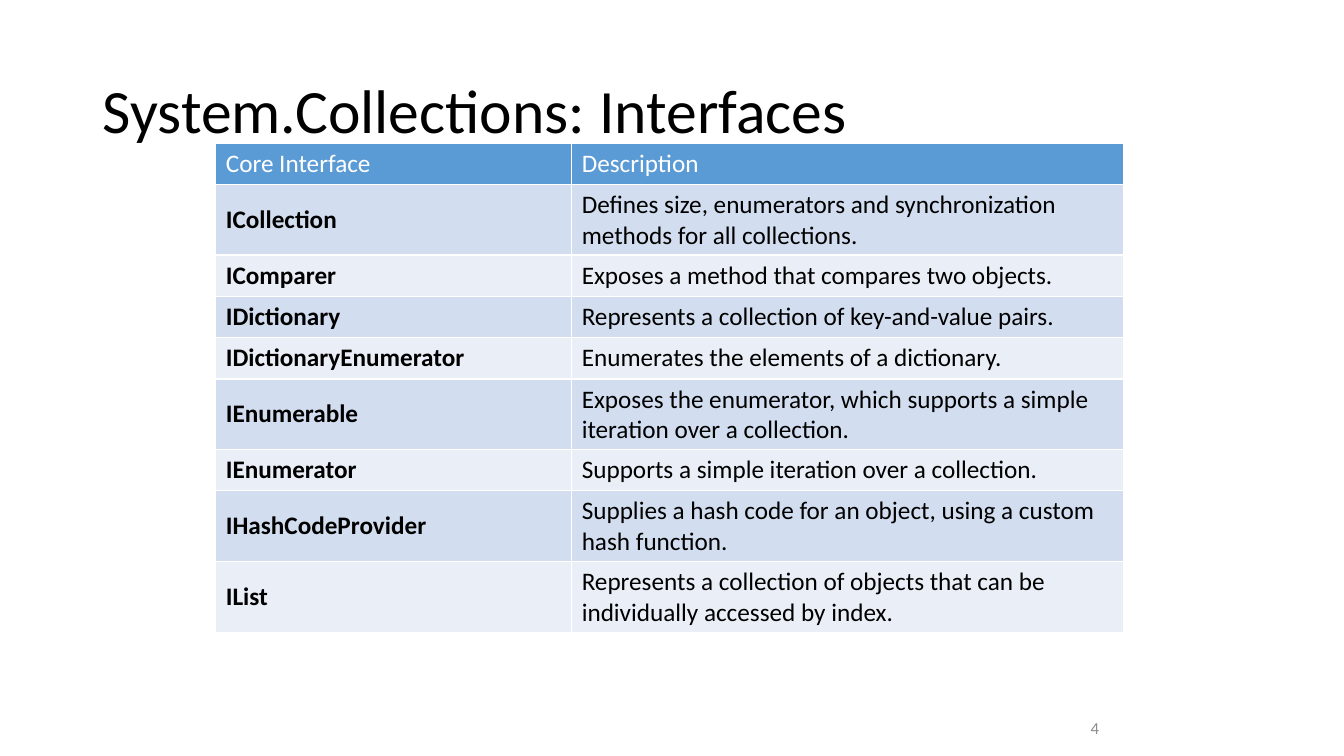
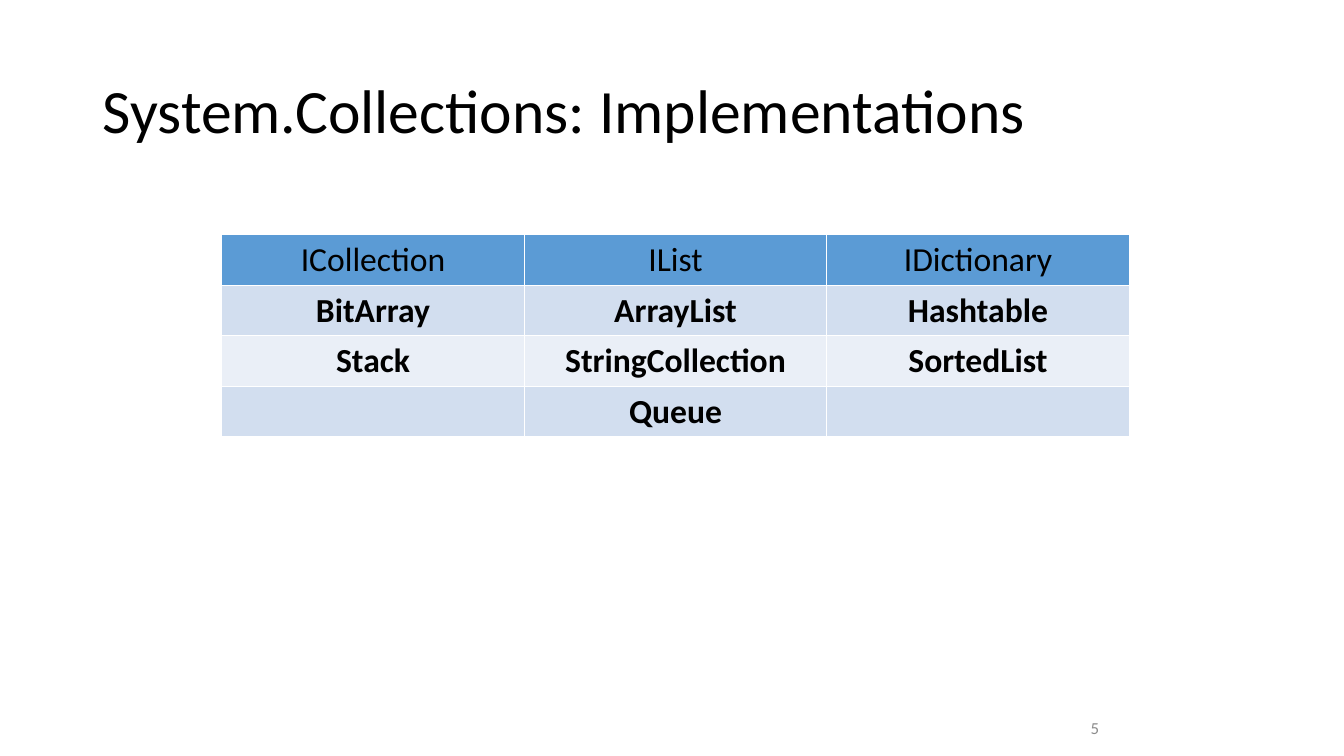
from pptx import Presentation
from pptx.dml.color import RGBColor
from pptx.enum.text import MSO_ANCHOR, MSO_AUTO_SIZE, PP_ALIGN
from pptx.util import Inches, Pt

LEFT, CENTER, RIGHT = PP_ALIGN.LEFT, PP_ALIGN.CENTER, PP_ALIGN.RIGHT
TOP, MIDDLE = MSO_ANCHOR.TOP, MSO_ANCHOR.MIDDLE
FONT = "Calibri"
TITLE_ONLY = 5
COLORS = {
    "text": "000000",
    "white": "FFFFFF",
    "header": "5B9BD5",
    "band_dark": "D2DEEF",
    "band_light": "EAEFF7",
    "number": "8C8C8C",
}

INTERFACES = [
    ("Core Interface", "Description"),
    ("ICollection", "Defines size, enumerators and synchronization methods for all collections."),
    ("IComparer", "Exposes a method that compares two objects."),
    ("IDictionary", "Represents a collection of key-and-value pairs."),
    ("IDictionaryEnumerator", "Enumerates the elements of a dictionary."),
    ("IEnumerable", "Exposes the enumerator, which supports a simple iteration over a collection."),
    ("IEnumerator", "Supports a simple iteration over a collection."),
    ("IHashCodeProvider", "Supplies a hash code for an object, using a custom hash function."),
    ("IList", "Represents a collection of objects that can be individually accessed by index."),
]
IMPLEMENTATIONS = [
    ("ICollection", "IList", "IDictionary"),
    ("BitArray", "ArrayList", "Hashtable"),
    ("Stack", "StringCollection", "SortedList"),
    ("", "Queue", ""),
]


def rgb(name):
    return RGBColor.from_string(COLORS[name])


class Deck:
    def __init__(self):
        self.prs = Presentation()
        self.prs.slide_width, self.prs.slide_height = Inches(13.33), Inches(7.5)
        self.s = None

    def slide(self, title, number):
        self.s = self.prs.slides.add_slide(self.prs.slide_layouts[TITLE_ONLY])
        self.title(title)
        self.number(number)

    def set_text(self, tf, text, size, color="text", align=LEFT, bold=False):
        p = tf.paragraphs[0]
        p.text, p.alignment = text, align
        p.font.name, p.font.size, p.font.bold = FONT, Pt(size), bold
        p.font.color.rgb = rgb(color)
        return p

    def title(self, text):
        sp = self.s.shapes.title
        sp.left, sp.top = Inches(0.92), Inches(0.4)
        sp.width, sp.height = Inches(11.5), Inches(1.45)
        tf = sp.text_frame
        tf.auto_size, tf.vertical_anchor = MSO_AUTO_SIZE.NONE, MIDDLE
        self.set_text(tf, text, 44).line_spacing = 0.9

    def number(self, number):
        sp = self.s.shapes.add_textbox(Inches(8.67), Inches(7.02), Inches(2.33), Inches(0.4))
        tf = sp.text_frame
        tf.word_wrap, tf.vertical_anchor = True, MIDDLE
        self.set_text(tf, str(number), 12, "number", RIGHT)

    def table(self, rows, left, top, widths, row_height, size, bold_columns,
              align=LEFT, header_color="text", header_anchor=MIDDLE):
        """Add a banded table; its white rules come from the default table style."""
        frame = self.s.shapes.add_table(
            len(rows), len(widths), Inches(left), Inches(top),
            Inches(sum(widths)), Inches(row_height * len(rows)))
        table = frame.table
        for column, width in zip(table.columns, widths):
            column.width = Inches(width)
        for r, texts in enumerate(rows):
            table.rows[r].height = Inches(row_height)
            is_header = r == 0
            fill = "header" if is_header else "band_dark" if r % 2 else "band_light"
            for c, text in enumerate(texts):
                cell = table.cell(r, c)
                cell.fill.solid()
                cell.fill.fore_color.rgb = rgb(fill)
                cell.vertical_anchor = header_anchor if is_header else MIDDLE
                self.set_text(cell.text_frame, text, size,
                              header_color if is_header else "text", align,
                              not is_header and c in bold_columns)


def main():
    deck = Deck()
    deck.slide("System.Collections: Interfaces", 4)
    deck.table(INTERFACES, 2.14, 1.42, [3.53, 5.47], 0.41, 18, bold_columns=[0],
               header_color="white", header_anchor=TOP)
    deck.slide("System.Collections: Implementations", 5)
    deck.table(IMPLEMENTATIONS, 2.2, 2.33, [3] * 3, 0.5, 24, bold_columns=range(3),
               align=CENTER)
    deck.prs.save("out.pptx")


if __name__ == "__main__":
    main()
